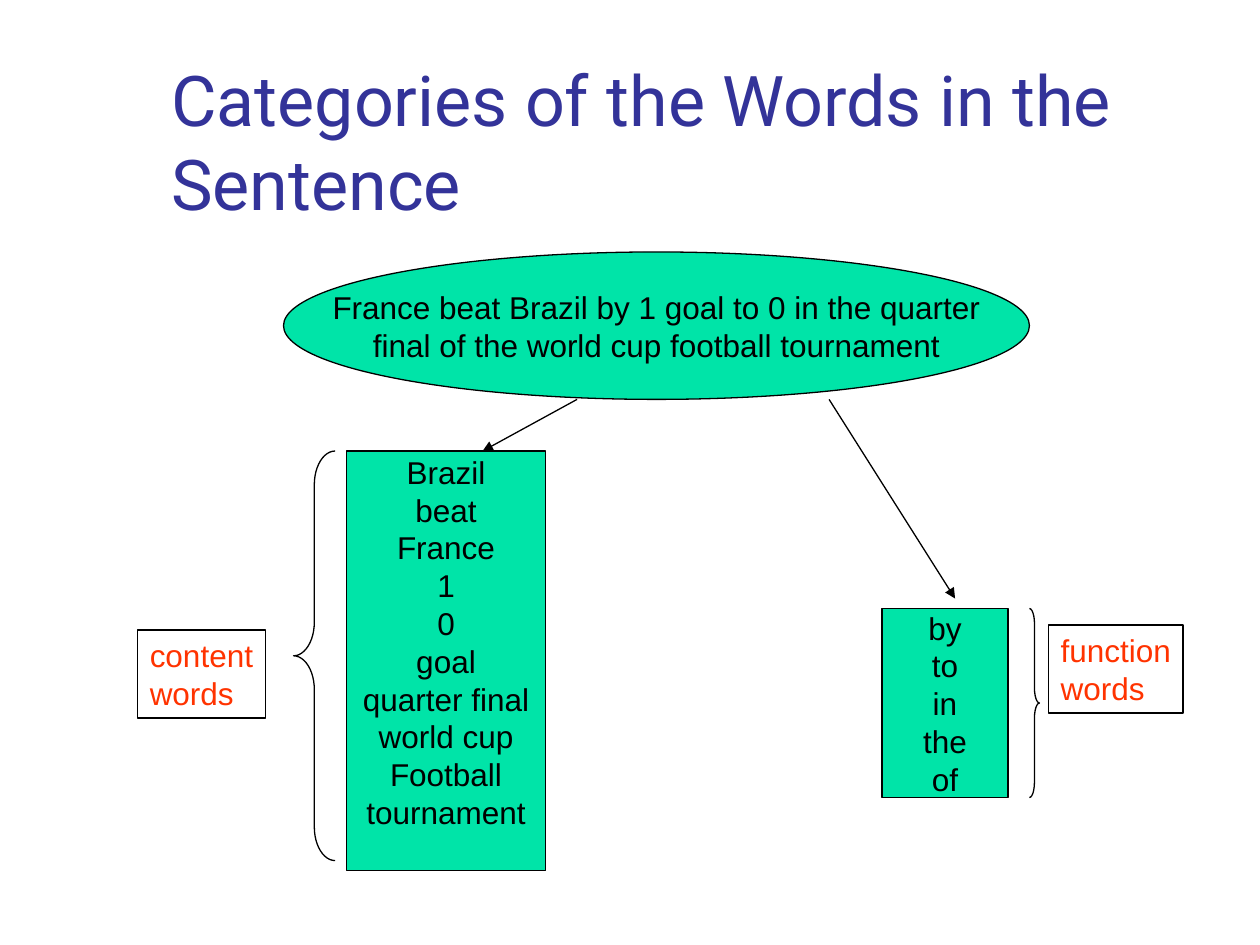
from lxml.etree import SubElement
from pptx import Presentation
from pptx.dml.color import RGBColor
from pptx.enum.shapes import MSO_CONNECTOR, MSO_SHAPE
from pptx.enum.text import MSO_ANCHOR, MSO_AUTO_SIZE, PP_ALIGN
from pptx.oxml.ns import qn
from pptx.util import Inches, Pt


def color(hex_string):
    return RGBColor.from_string(hex_string)


class SlideBuilder:
    GREEN, BLACK, RED, NAVY = "00E4A8", "000000", "FF3300", "333399"
    LINE_WIDTH = Pt(0.75)

    def __init__(self, slide):
        self.slide = slide

    def outline(self, element):
        element.line.color.rgb = color(self.BLACK)
        element.line.width = self.LINE_WIDTH

    def shape(self, kind, left, top, width, height, fill=None):
        shape = self.slide.shapes.add_shape(
            kind, Inches(left), Inches(top), Inches(width), Inches(height))
        shape.shadow.inherit = False
        if fill:
            shape.fill.solid()
            shape.fill.fore_color.rgb = color(fill)
        else:
            shape.fill.background()
        self.outline(shape)
        return shape

    def set_lines(self, shape, lines, text_color, align, anchor):
        frame = shape.text_frame
        frame.text = "\n".join(lines)
        frame.word_wrap = False
        frame.vertical_anchor = anchor
        for paragraph in frame.paragraphs:
            paragraph.alignment = align
            paragraph.line_spacing = Pt(21.6)
            for run in paragraph.runs:
                run.font.name = "Arial"
                run.font.size = Pt(18)
                run.font.color.rgb = color(text_color)

    def title(self, text, left, top, width, height):
        title = self.slide.shapes.title
        title.left, title.top = Inches(left), Inches(top)
        title.width, title.height = Inches(width), Inches(height)
        frame = title.text_frame
        frame.text = text
        frame.word_wrap = True
        frame.auto_size = MSO_AUTO_SIZE.NONE
        frame.vertical_anchor = MSO_ANCHOR.BOTTOM
        paragraph = frame.paragraphs[0]
        paragraph.alignment = PP_ALIGN.LEFT
        font = paragraph.runs[0].font
        font.name, font.size = "Roboto", Pt(40)
        font.color.rgb = color(self.NAVY)

    def node(self, kind, lines, *box):
        node = self.shape(kind, *box, fill=self.GREEN)
        self.set_lines(node, lines, self.BLACK, PP_ALIGN.CENTER, MSO_ANCHOR.MIDDLE)
        return node

    def label(self, lines, *box):
        label = self.shape(MSO_SHAPE.RECTANGLE, *box)
        self.set_lines(label, lines, self.RED, PP_ALIGN.LEFT, MSO_ANCHOR.TOP)

    def brace(self, kind, curve, *box):
        """Draw a brace; curve is the corner height relative to its width."""
        self.shape(kind, *box).adjustments[0] = curve

    def arrow(self, *ends):
        arrow = self.slide.shapes.add_connector(
            MSO_CONNECTOR.STRAIGHT, *(Inches(end) for end in ends))
        self.outline(arrow)
        properties = arrow.element.spPr
        line = properties.find(qn("a:ln"))
        SubElement(line, qn("a:tailEnd"), type="triangle")
        SubElement(properties, qn("a:effectLst"))


def main():
    presentation = Presentation()
    presentation.slide_width, presentation.slide_height = Inches(10), Inches(7.5)
    title_only = presentation.slide_layouts[5]
    builder = SlideBuilder(presentation.slides.add_slide(title_only))

    builder.title("Categories of the Words in the Sentence", 1.26, 0.23, 8.52, 1.6)
    builder.node(MSO_SHAPE.OVAL,
                 ["France beat Brazil by 1 goal to 0 in the quarter",
                  "final of the world cup football tournament"],
                 2.25, 2, 5.92, 1.17)
    builder.node(MSO_SHAPE.RECTANGLE, ["by", "to", "in", "the", "of"],
                 7, 4.83, 1, 1.5)
    content_words = builder.node(
        MSO_SHAPE.RECTANGLE,
        ["Brazil", "beat", "France", "1", "0", "goal", "quarter final",
         "world cup", "Football", "tournament"],
        2.75, 3.58, 1.58, 3.33)
    content_words.text_frame.margin_bottom = Inches(0.35)

    builder.arrow(4.58, 3.17, 3.83, 3.58)
    builder.arrow(6.58, 3.17, 7.58, 4.75)
    builder.brace(MSO_SHAPE.LEFT_BRACE, 0.81, 2.33, 3.58, 0.33, 3.25)
    builder.brace(MSO_SHAPE.RIGHT_BRACE, 1.5, 8.17, 4.83, 0.08, 1.5)
    builder.label(["content", "words"], 1.09, 5, 1.02, 0.7)
    builder.label(["function", "words"], 8.32, 4.96, 1.07, 0.7)

    presentation.save("out.pptx")


if __name__ == "__main__":
    main()
